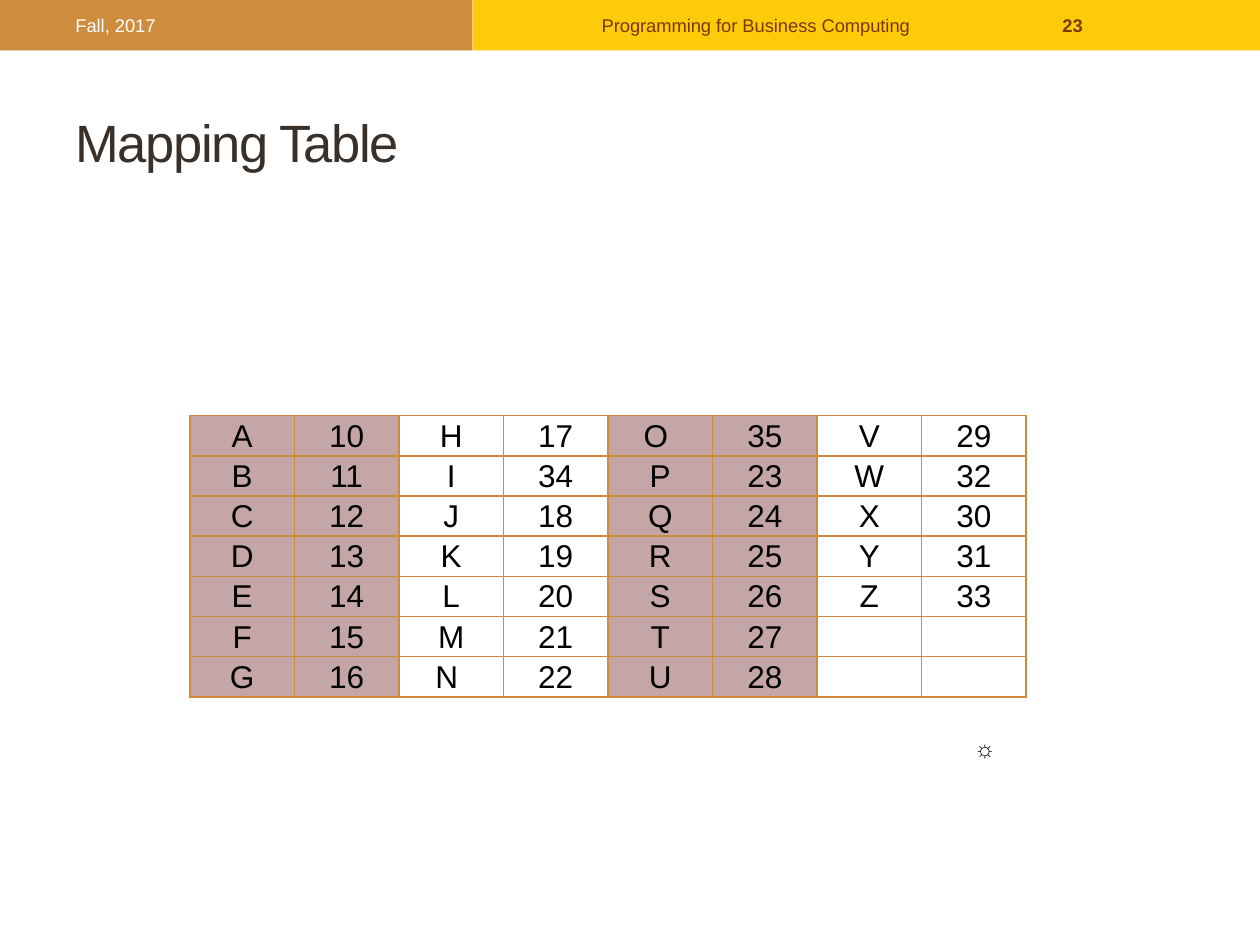
from pptx import Presentation
from pptx.dml.color import RGBColor
from pptx.enum.shapes import MSO_SHAPE
from pptx.enum.text import MSO_ANCHOR, PP_ALIGN
from pptx.oxml import parse_xml
from pptx.oxml.ns import nsdecls
from pptx.util import Pt

OCHRE = RGBColor(0xCE, 0x8D, 0x3E)
YELLOW = RGBColor(0xFF, 0xCA, 0x08)
MAUVE = RGBColor(0xC4, 0xA6, 0xA6)
BROWN = RGBColor(0x77, 0x38, 0x0A)
UMBER = RGBColor(0x39, 0x30, 0x2A)
WHITE = RGBColor(0xFF, 0xFF, 0xFF)
BLACK = RGBColor(0, 0, 0)


def write(frame, text, size=10.5, color=BLACK, font="Arial", bold=False,
          align=PP_ALIGN.LEFT, spacing=0):
    paragraph = frame.paragraphs[0]
    paragraph.alignment = align
    run = paragraph.add_run()
    run.text = text
    run.font.name = font
    run.font.size = Pt(size)
    run.font.bold = bold
    run.font.color.rgb = color
    if spacing:
        run.font._element.set("spc", str(round(spacing * 100)))


class MappingSlide:
    """Draws the bands, labels and mapping table of one slide."""

    border_width = Pt(1)
    cell_margin = Pt(0.72)

    def __init__(self, slide):
        self.shapes = slide.shapes

    def band(self, left, top, width, height, color):
        band = self.shapes.add_shape(
            MSO_SHAPE.RECTANGLE, Pt(left), Pt(top), Pt(width), Pt(height))
        band.shadow.inherit = False
        band.fill.solid()
        band.fill.fore_color.rgb = color
        band.line.fill.background()

    def label(self, left, top, width, height, text, wrap=True,
              anchor=MSO_ANCHOR.MIDDLE, **style):
        frame = self.shapes.add_textbox(
            Pt(left), Pt(top), Pt(width), Pt(height)).text_frame
        frame.word_wrap = wrap
        frame.vertical_anchor = anchor
        write(frame, text, **style)

    def border(self, cell):
        properties = cell._tc.get_or_add_tcPr()
        for side in "LRTB":
            properties.append(parse_xml(
                f'<a:ln{side} {nsdecls("a")} w="{self.border_width}"><a:solidFill>'
                f'<a:srgbClr val="{OCHRE}"/></a:solidFill></a:ln{side}>'))

    def table(self, left, top, column_width, row_height, rows, shaded):
        count = len(rows[0])
        graphic = self.shapes.add_table(
            len(rows), count, Pt(left), Pt(top),
            Pt(column_width * count), Pt(row_height * len(rows)))
        grid = graphic.table
        grid.first_row = grid.horz_banding = False
        for column in grid.columns:
            column.width = Pt(column_width)
        for row, values in zip(grid.rows, rows):
            row.height = Pt(row_height)
            for index, (cell, value) in enumerate(zip(row.cells, values)):
                cell.margin_left = cell.margin_right = cell.margin_top = self.cell_margin
                cell.margin_bottom = 0
                cell.vertical_anchor = MSO_ANCHOR.MIDDLE
                self.border(cell)
                if index in shaded:
                    cell.fill.solid()
                    cell.fill.fore_color.rgb = MAUVE
                else:
                    cell.fill.background()
                write(cell.text_frame, value, size=18, align=PP_ALIGN.CENTER)


LETTERS = ["A", "B", "C", "D", "E", "F", "G", "H", "I", "J", "K", "L", "M", "N ",
           "O ", "P", "Q", "R", "S", "T", "U", "V", "W", "X", "Y", "Z", "", ""]
CODES = [10, 11, 12, 13, 14, 15, 16, 17, 34, 18, 19, 20, 21, 22,
         35, 23, 24, 25, 26, 27, 28, 29, 32, 30, 31, 33, "", ""]
ROW_COUNT = 7
pairs = [(letter, str(code)) for letter, code in zip(LETTERS, CODES)]
mapping = [[text for pair in pairs[row::ROW_COUNT] for text in pair]
           for row in range(ROW_COUNT)]

deck = Presentation()
deck.slide_width, deck.slide_height = Pt(720), Pt(540)
page = MappingSlide(deck.slides.add_slide(deck.slide_layouts[6]))

page.band(0, 0, 270, 28.8, OCHRE)
page.band(270, 0, 450, 28.8, YELLOW)
page.table(108.5, 237.5, 59.75, 22.98, mapping, shaded={0, 1, 4, 5})
page.label(36, 1.44, 228, 25.92, "Fall, 2017", color=WHITE)
page.label(270, 1.44, 324, 25.92, "Programming for Business Computing",
           color=BROWN, align=PP_ALIGN.CENTER)
page.label(600, 1.44, 84, 25.92, "23", color=BROWN, bold=True)
page.label(36, 42, 648, 78, "Mapping Table", size=30, color=UMBER, spacing=-0.8)
page.label(549.5, 416, 26, 24, "\u263c", wrap=False, anchor=MSO_ANCHOR.TOP,
           size=13.5, font="Times New Roman", bold=True)

deck.save("out.pptx")
